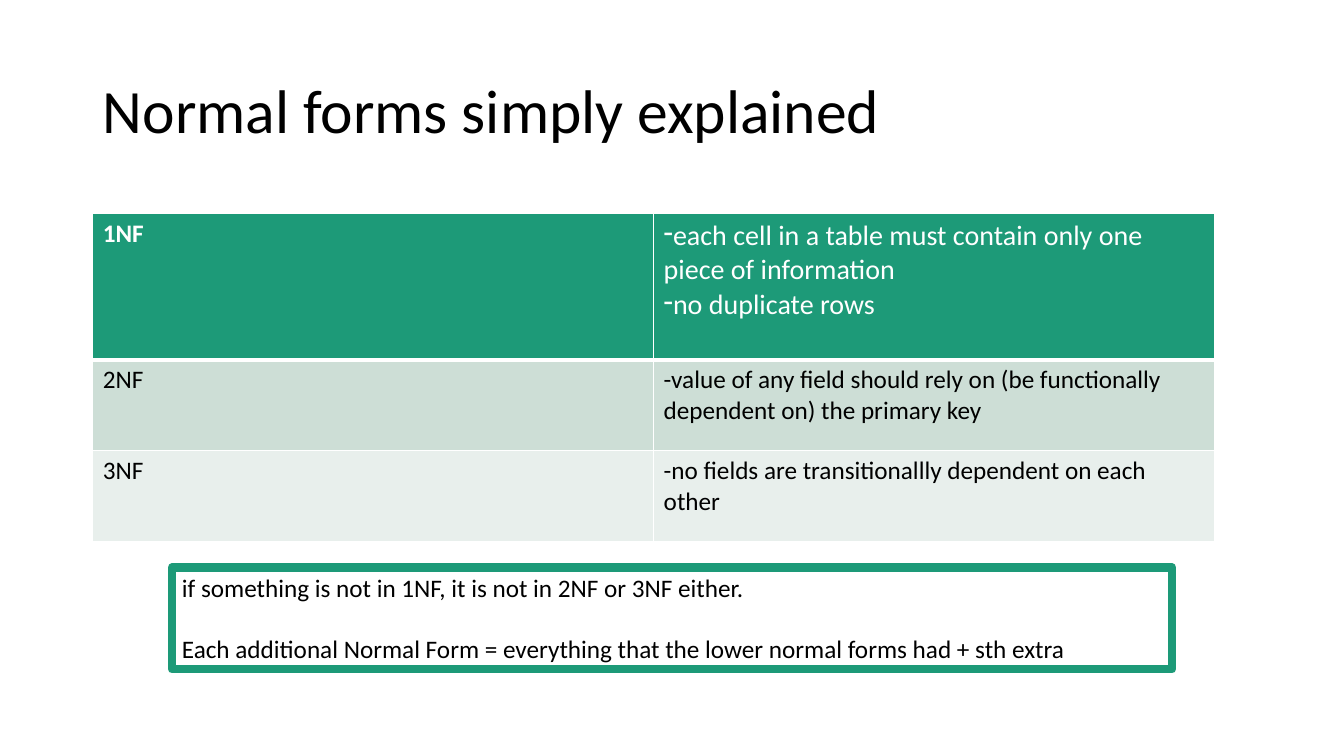
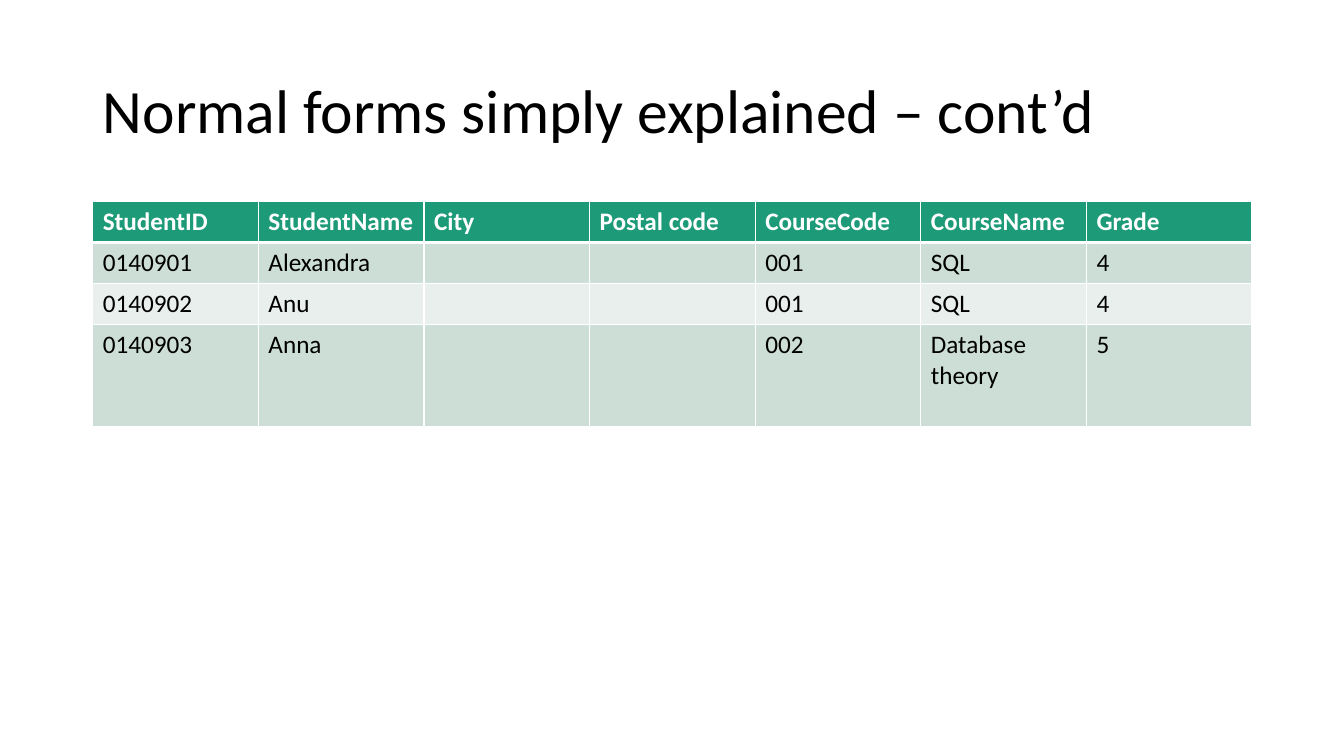
from dataclasses import dataclass

from pptx import Presentation
from pptx.dml.color import RGBColor as RGB
from pptx.enum.text import MSO_ANCHOR as ANCHOR, PP_ALIGN as ALIGN
from pptx.oxml import parse_xml
from pptx.oxml.ns import nsdecls
from pptx.util import Inches, Pt


@dataclass(frozen=True)
class Theme:
    font: str = "Calibri"
    accent: RGB = RGB.from_string("1D9A78")
    bands: tuple = (RGB.from_string("CDDED6"), RGB.from_string("E8EFEC"))
    light: RGB = RGB.from_string("FFFFFF")
    dark: RGB = RGB.from_string("000000")
    title: int = 44
    large: int = 20
    body: int = 18
    frame: int = 6
    thin: int = 1
    thick: int = 3


@dataclass(frozen=True)
class Grid:
    margin: float = 0.92
    width: float = 11.5
    columns: int = 12
    row: float = 0.5

    def w(self, columns):
        return Inches(columns * self.width / self.columns)

    def h(self, rows):
        return Inches(rows * self.row)

    def box(self, column, row, columns, rows):
        return (Inches(self.margin) + self.w(column), self.h(row),
                self.w(columns), self.h(rows))


class Deck:
    def __init__(self, theme, grid):
        self.theme, self.grid = theme, grid
        self.prs = Presentation()
        self.prs.slide_width = Inches(13.33)
        self.prs.slide_height = Inches(7.5)
        self.s = None

    def style(self, p, size, color, bold=False):
        p.font.name = self.theme.font
        p.font.size = Pt(size)
        p.font.bold = bold
        p.font.color.rgb = color

    def slide(self, title):
        self.s = self.prs.slides.add_slide(self.prs.slide_layouts[5])
        sp = self.s.shapes.title
        sp.left, sp.top, sp.width, sp.height = self.grid.box(0, 0.8, 12, 2.9)
        tf = sp.text_frame
        tf.text = title
        tf.vertical_anchor = ANCHOR.MIDDLE
        p = tf.paragraphs[0]
        p.alignment = ALIGN.LEFT
        p.line_spacing = 0.9
        self.style(p, self.theme.title, self.theme.dark)

    def table(self, row, columns, heights, data):
        box = self.grid.box(0, row, columns, sum(heights))
        tbl = self.s.shapes.add_table(len(data), len(data[0]), *box).table
        tbl.first_row = tbl.horz_banding = False
        for i, values in enumerate(data):
            tbl.rows[i].height = self.grid.h(heights[i])
            for j, value in enumerate(values):
                self.cell(tbl.cell(i, j), i, value)

    def cell(self, cell, i, value):
        t = self.theme
        cell.fill.solid()
        cell.fill.fore_color.rgb = t.bands[(i - 1) % 2] if i else t.accent
        self.borders(cell, top=t.thick if i == 1 else t.thin,
                     bottom=t.thin if i else t.thick)
        bulleted = isinstance(value, list)
        cell.text = "\n".join(value) if bulleted else value
        for p in cell.text_frame.paragraphs:
            self.style(p, t.large if bulleted else t.body,
                       t.dark if i else t.light, not (i or bulleted))
            if bulleted:
                self.bullet(p)

    def borders(self, cell, top, bottom):
        thin = self.theme.thin
        tcPr = cell._tc.get_or_add_tcPr()
        for n, (side, width) in enumerate(zip("LRTB", (thin, thin, top, bottom))):
            tcPr.insert(n, parse_xml(
                f'<a:ln{side} {nsdecls("a")} w="{Pt(width)}"><a:solidFill>'
                f'<a:srgbClr val="{self.theme.light}"/></a:solidFill></a:ln{side}>'))

    def bullet(self, p):
        pPr = p._p.get_or_add_pPr()
        pPr.set("marL", "0")
        pPr.set("indent", "0")
        pPr.insert(0, parse_xml(f'<a:buChar {nsdecls("a")} char="-"/>'))

    def framed_note(self, box, lines, gap):
        sp = self.s.shapes.add_textbox(*self.grid.box(*box))
        sp.line.color.rgb = self.theme.accent
        sp.line.width = Pt(self.theme.frame)
        tf = sp.text_frame
        tf.word_wrap = True
        tf.text = "\n".join(lines)
        for p in tf.paragraphs:
            self.style(p, self.theme.body, self.theme.dark)
        for p in tf.paragraphs[1:]:
            p.space_before = Pt(gap)


def main():
    deck = Deck(Theme(), Grid())

    deck.slide("Normal forms simply explained")
    deck.table(4.24, 11.61, (2.9, 1.8, 1.8), [
        ("1NF", ["each cell in a table must contain only one piece of information",
                 "no duplicate rows"]),
        ("2NF", "-value of any field should rely on (be functionally dependent on) "
                "the primary key"),
        ("3NF", "-no fields are transitionallly dependent on each other"),
    ])
    deck.framed_note((0.82, 11.26, 10.35, 2.02), [
        "if something is not in 1NF, it is not in 2NF or 3NF either.",
        "Each additional Normal Form = everything that the lower normal forms "
        "had + sth extra",
    ], gap=22)

    deck.slide("Normal forms simply explained – cont’d")
    deck.table(4, 12, (0.81, 0.81, 0.81, 2.04), [
        ("StudentID", "StudentName", "City", "Postal code", "CourseCode",
         "CourseName", "Grade"),
        ("0140901", "Alexandra", "", "", "001", "SQL", "4"),
        ("0140902", "Anu", "", "", "001", "SQL", "4"),
        ("0140903", "Anna", "", "", "002", "Database theory", "5"),
    ])

    deck.prs.save("out.pptx")


if __name__ == "__main__":
    main()
